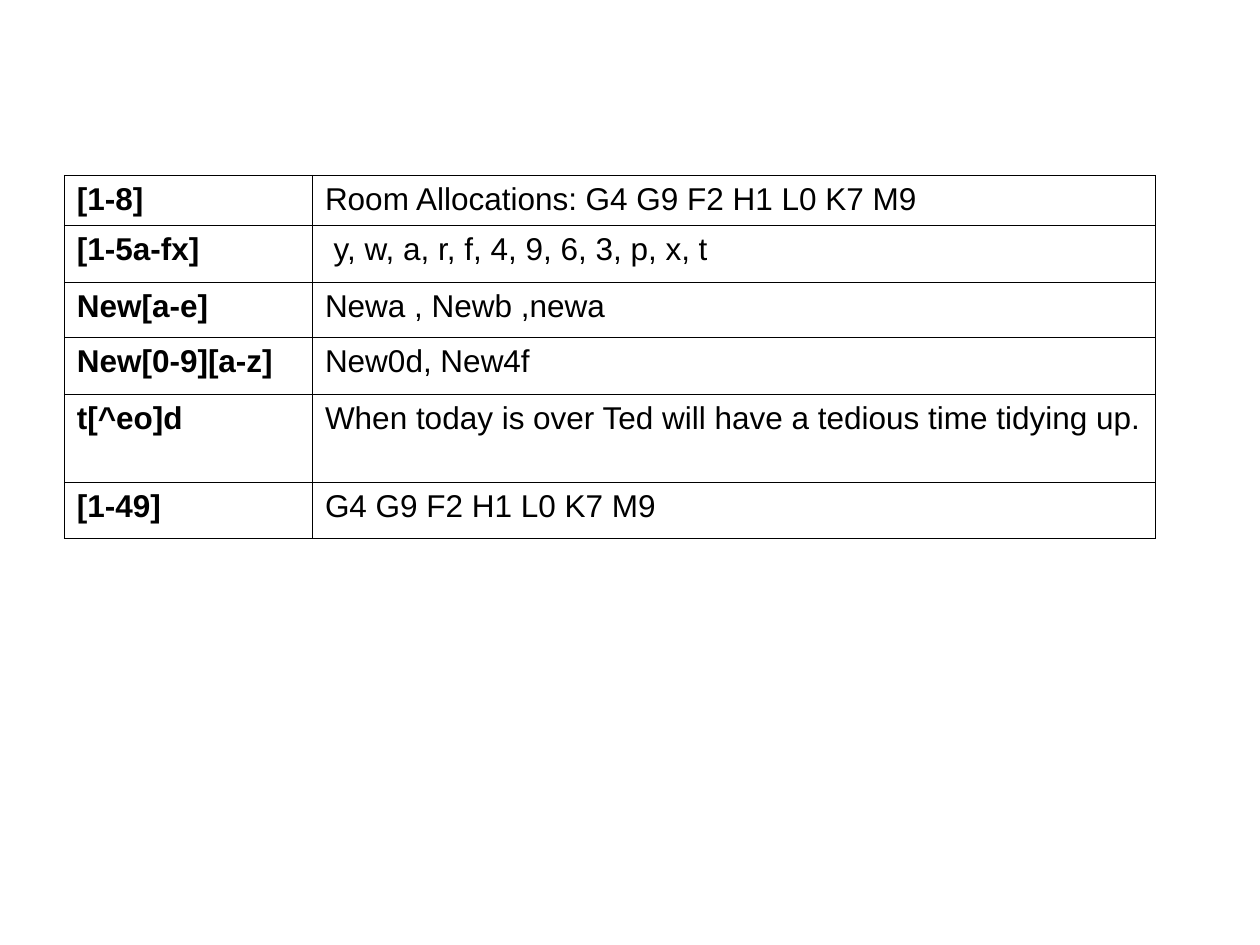
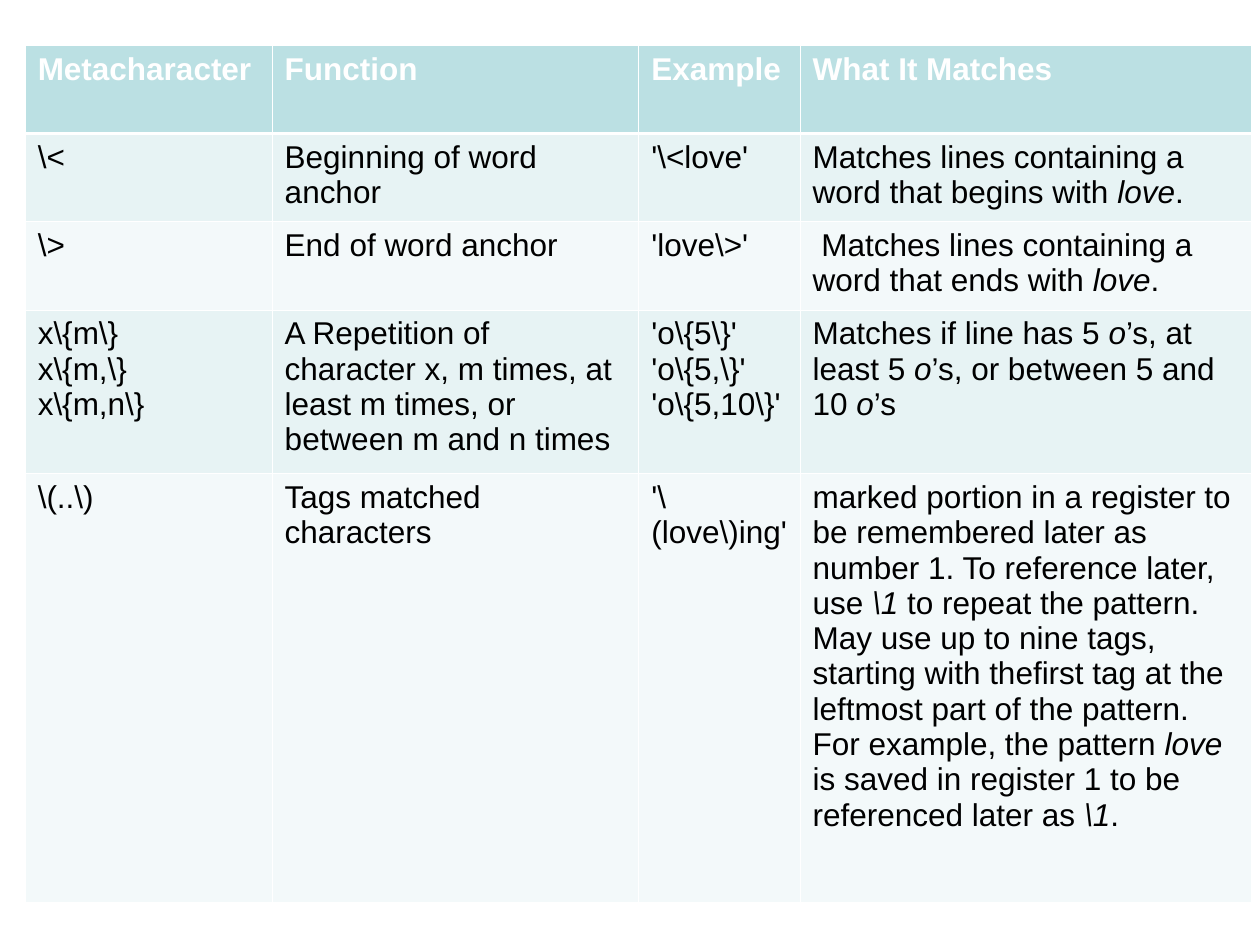
from lxml.etree import SubElement
from pptx import Presentation
from pptx.dml.color import RGBColor as Rgb
from pptx.oxml.ns import qn
from pptx.util import Inches, Pt

BLACK = Rgb(0x00, 0x00, 0x00)
WHITE = Rgb(0xFF, 0xFF, 0xFF)
HEADER_TEAL = Rgb(0xBB, 0xE0, 0xE3)
BAND_DARK = Rgb(0xE7, 0xF3, 0xF4)
BAND_LIGHT = Rgb(0xF3, 0xF9, 0xFA)

FONT = "Arial"
TEXT_SIZE = Pt(18)
THIN = Pt(0.45)
THICK = Pt(1.47)
PARAGRAPH_MARK = "|"
ITALIC_MARK = "*"

PATTERNS = [
    ("[1-8]", "Room Allocations: G4 G9 F2 H1 L0 K7 M9"),
    ("[1-5a-fx]", " y, w, a, r, f, 4, 9, 6, 3, p, x, t"),
    ("New[a-e]", "Newa , Newb ,newa"),
    ("New[0-9][a-z]", "New0d, New4f"),
    ("t[^eo]d", "When today is over Ted will have a tedious time tidying up."),
    ("[1-49]", "G4 G9 F2 H1 L0 K7 M9"),
]

METACHARACTERS = [
    ("Metacharacter", "Function", "Example", "What It Matches"),
    (r"\<", "Beginning of word|anchor", r"'\<love'",
     "Matches lines containing a word that begins with *love*."),
    (r"\>", "End of word anchor", r"'love\>'",
     " Matches lines containing a word that ends with *love*."),
    (r"x\{m\}|x\{m,\}|x\{m,n\}",
     "A Repetition of character x, m times, at least m times, "
     "or between m and n times",
     r"'o\{5\}'|'o\{5,\}'|'o\{5,10\}'",
     "Matches if line has 5 *o*’s, at least 5 *o*’s, "
     "or between 5 and 10 *o*’s"),
    (r"\(..\)", "Tags matched|characters", r"'\(love\)ing'",
     "marked portion in a register to be remembered later as number 1. "
     r"To reference later, use *\1 *to repeat the pattern."
     "|May use up to nine tags, starting with thefirst tag "
     "at the leftmost part of the pattern."
     "|For example, the pattern *love *is saved in register 1 "
     r"to be referenced later as *\1*."),
]


def write_cell(cell, marked_text, color, bold):
    frame = cell.text_frame
    for number, line in enumerate(marked_text.split(PARAGRAPH_MARK)):
        paragraph = frame.add_paragraph() if number else frame.paragraphs[0]
        for part, words in enumerate(line.split(ITALIC_MARK)):
            run = paragraph.add_run()
            run.text = words
            run.font.name = FONT
            run.font.size = TEXT_SIZE
            run.font.color.rgb = color
            run.font.bold = bold
            run.font.italic = part % 2 == 1


def draw_borders(cell, color, top=THIN, bottom=THIN):
    properties = cell._tc.get_or_add_tcPr()
    for side, width in (("L", THIN), ("R", THIN), ("T", top), ("B", bottom)):
        border = SubElement(properties, qn(f"a:ln{side}"), w=str(int(width)))
        solid = SubElement(border, qn("a:solidFill"))
        SubElement(solid, qn("a:srgbClr"), val=str(color))


def fill_cell(cell, color):
    if color is None:
        cell.fill.background()
    else:
        cell.fill.solid()
        cell.fill.fore_color.rgb = color


def add_grid(slide, left, top, widths, heights):
    frame = slide.shapes.add_table(
        len(heights), len(widths), Inches(left), Inches(top),
        Inches(sum(widths)), Inches(sum(heights)))
    table = frame.table
    table.first_row = False
    table.horz_banding = False
    for column, width in zip(table.columns, widths):
        column.width = Inches(width)
    for row, height in zip(table.rows, heights):
        row.height = Inches(height)
    return table


def add_pattern_table(slide):
    table = add_grid(slide, 0.51, 1.39, [1.97, 6.69],
                     [0.4, 0.45, 0.44, 0.45, 0.7, 0.44])
    for row, texts in enumerate(PATTERNS):
        for column, text in enumerate(texts):
            cell = table.cell(row, column)
            write_cell(cell, text, BLACK, bold=column == 0)
            draw_borders(cell, BLACK)
            fill_cell(cell, None)


def add_metacharacter_table(slide):
    table = add_grid(slide, 0.2, 0.36, [1.96, 2.91, 1.28, 3.58],
                     [0.7, 0.7, 0.7, 1.3, 3.4])
    for row, texts in enumerate(METACHARACTERS):
        is_header = row == 0
        band = BAND_DARK if row % 2 else BAND_LIGHT
        for column, text in enumerate(texts):
            cell = table.cell(row, column)
            write_cell(cell, text, WHITE if is_header else BLACK, is_header)
            draw_borders(cell, WHITE,
                         top=THICK if row == 1 else THIN,
                         bottom=THICK if is_header else THIN)
            fill_cell(cell, HEADER_TEAL if is_header else band)


def main():
    deck = Presentation()
    deck.slide_width = Inches(10)
    deck.slide_height = Inches(7.5)
    blank = deck.slide_layouts[6]
    for add_content in (add_pattern_table, add_metacharacter_table):
        add_content(deck.slides.add_slide(blank))
    deck.save("out.pptx")


if __name__ == "__main__":
    main()
